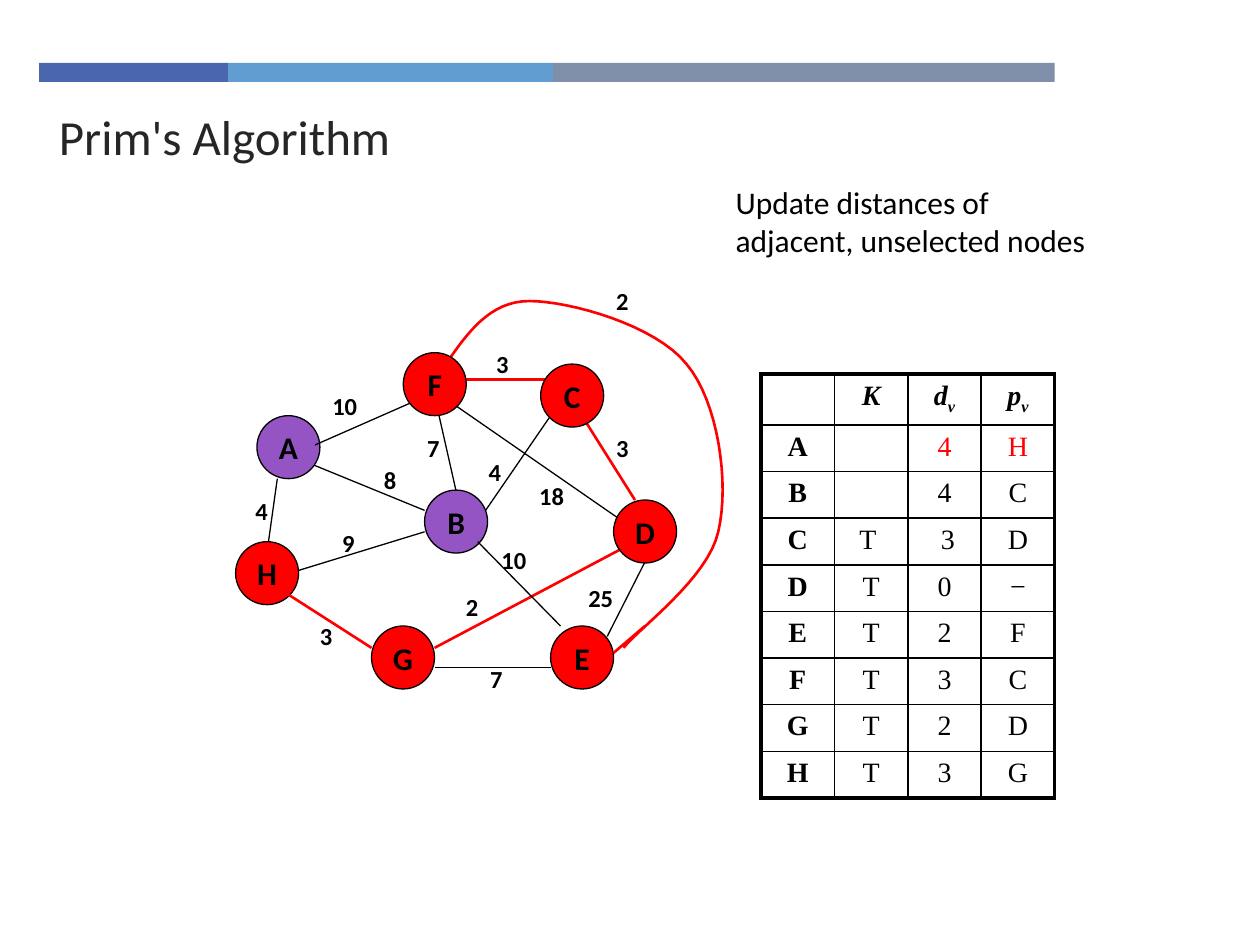
from lxml import etree
from pptx import Presentation
from pptx.dml.color import RGBColor
from pptx.enum.shapes import MSO_CONNECTOR, MSO_SHAPE
from pptx.enum.text import MSO_ANCHOR, PP_ALIGN
from pptx.oxml.ns import qn
from pptx.util import Cm, Pt

RECT, OVAL = MSO_SHAPE.RECTANGLE, MSO_SHAPE.OVAL
LINE = MSO_CONNECTOR.STRAIGHT
LEFT, CENTER = PP_ALIGN.LEFT, PP_ALIGN.CENTER
TOP, MIDDLE = MSO_ANCHOR.TOP, MSO_ANCHOR.MIDDLE

THEME = {
    "sans": "Calibri", "serif": "Times New Roman",
    "ink": "000000", "title": "262626", "tree": "FF0000", "open": "9454C3",
    "title_pt": 28, "text_pt": 18, "cell_pt": 16, "label_pt": 14,
    "thin": 0.75, "bold": 1.5, "grid": 1, "frame": 2.25,
}

# Content, all lengths in centimetres
TITLE = ("Prim's Algorithm", (0.94, 2.03, 18.19, 1.37))
NOTE = ("Update distances of adjacent, unselected nodes",
        (14.58, 3.56, 8.05, 1.96))
BARS = [(3.81, "4A66AC"), (6.55, "629DD1"), (10.11, "7F8FA9")]

NODE = 1.27
NODES = {  # left, top
    "A": (5.18, 8.38), "H": (4.75, 10.92), "B": (8.56, 9.88),
    "F": (8.13, 7.11), "E": (11.10, 12.62), "D": (12.37, 10.08),
    "C": (10.90, 7.34), "G": (7.49, 12.62),
}
OPEN = "AB"

# from, to, in tree, weight, label corner
UNDER = [
    ((13.31, 10.72), (12.24, 12.83), False, "25", (11.61, 11.63)),
    ((8.76, 7.98), (9.19, 9.88), False, "7", (8.36, 8.61)),
    ((9.63, 10.52), (11.10, 8.38), False, "4", (9.60, 9.09)),
    ((12.57, 10.52), (9.19, 8.18), False, "18", (10.62, 9.58)),
    ((5.82, 11.56), (8.56, 10.72), False, "9", (6.65, 10.52)),
    ((8.76, 13.06), (12.80, 10.92), True, "2", (9.14, 11.81)),
    ((5.38, 11.15), (5.59, 9.65), False, "4", (4.90, 9.88)),
    ((6.02, 9.25), (8.56, 10.29), False, "8", (7.49, 9.25)),
    ((9.32, 7.65), (11.30, 7.65), True, "3", (9.75, 6.91)),
    ((11.73, 8.38), (12.80, 10.08), True, "3", (12.17, 8.61)),
]
OVER = [
    ((9.63, 10.92), (11.30, 12.62), False, "10", (9.86, 10.87)),
    ((11.10, 13.46), (8.76, 13.46), False, "7", (9.63, 13.26)),
    ((7.49, 13.06), (5.82, 11.99), True, "3", (6.20, 12.40)),
    ((6.35, 8.97), (8.26, 8.13), False, "10", (6.45, 7.75)),
    ((13.00, 12.62), (12.37, 13.16), True, "2", (12.17, 5.64)),
]
START = (8.99, 7.34)
BENDS = [
    ((9.42, 6.71), (9.88, 6.07), (10.67, 6.07)),
    ((11.48, 6.07), (13.21, 6.55), (13.84, 7.34)),
    ((14.48, 8.10), (14.71, 9.75), (14.48, 10.72)),
    ((14.27, 11.66), (12.90, 12.65), (12.57, 13.06)),
]
STEPS = 16

HEAD = ["", "K", "dv", "pv"]  # a second letter is a subscript
ROWS = [
    ["A", "", "4", "H"], ["B", "", "4", "C"], ["C", "T ", " 3", "D"],
    ["D", "T", "0", "−"], ["E", "T", "2", "F"], ["F", "T", "3", "C"],
    ["G", "T", "2", "D"], ["H", "T", "3", "G"],
]
FRESH = {(1, 2), (1, 3)}  # cells just updated
GRID = (15.34, 7.54)
COL, TALL, ROW = 1.48, 1.02, 0.94


def rgb(name):
    return RGBColor.from_string(THEME.get(name, name))


def style(run, size, color="ink", bold=False, face="sans"):
    font = run.font
    font.name, font.size, font.bold = THEME[face], Pt(THEME[size]), bold
    font.color.rgb = rgb(color)


def write(shape, text, size, color="ink", bold=False, wrap=True,
          align=LEFT, anchor=TOP):
    frame = shape.text_frame
    frame.text, frame.word_wrap = text, wrap
    frame.vertical_anchor = anchor
    para = frame.paragraphs[0]
    para.alignment = align
    style(para.runs[0], size, color, bold)


def add_text(slide, text, box, size, **look):
    write(slide.shapes.add_textbox(*map(Cm, box)), text, size, **look)


def add_form(slide, kind, box, fill):
    form = slide.shapes.add_shape(kind, *map(Cm, box))
    form.shadow.inherit = False
    form.fill.solid()
    form.fill.fore_color.rgb = rgb(fill)
    form.line.fill.background()
    return form


def set_line(form, tree):
    form.line.color.rgb = rgb("tree" if tree else "ink")
    form.line.width = Pt(THEME["bold" if tree else "thin"])


def add_edge(slide, start, end, tree):
    edge = slide.shapes.add_connector(LINE, *map(Cm, start + end))
    set_line(edge, tree)
    etree.SubElement(edge._element.spPr, qn("a:effectLst"))


def add_curve(slide):
    points, last = [], START
    for bend in BENDS:
        knots = (last,) + bend
        for step in range(1, STEPS + 1):
            t = step / STEPS
            parts = ((1 - t)**3, 3 * t * (1 - t)**2, 3 * t**2 * (1 - t), t**3)
            points.append(tuple(
                Cm(sum(w * k[axis] for w, k in zip(parts, knots)))
                for axis in (0, 1)))
        last = bend[-1]
    pen = slide.shapes.build_freeform(*map(Cm, START))
    pen.add_line_segments(points, close=False)
    curve = pen.convert_to_shape()
    curve.shadow.inherit = False
    curve.fill.background()
    set_line(curve, True)


def set_edges(cell, sides):
    props = cell._tc.get_or_add_tcPr()
    for spot, (tag, outer) in enumerate(sides):
        width = Pt(THEME["frame" if outer else "grid"])
        line = etree.Element(qn("a:" + tag), w=str(width))
        fill = etree.SubElement(line, qn("a:solidFill"))
        etree.SubElement(fill, qn("a:srgbClr"), val=THEME["ink"])
        props.insert(spot, line)


def add_grid(slide):
    data = [HEAD] + ROWS
    rows, cols = len(data), len(HEAD)
    size = (COL * cols, TALL + ROW * len(ROWS))
    table = slide.shapes.add_table(rows, cols, *map(Cm, GRID + size)).table
    table.first_row = table.horz_banding = False
    for col in table.columns:
        col.width = Cm(COL)
    for r, texts in enumerate(data):
        table.rows[r].height = Cm(ROW if r else TALL)
        for c, text in enumerate(texts):
            cell = table.cell(r, c)
            cell.fill.background()
            set_edges(cell, [("lnL", c == 0), ("lnR", c == cols - 1),
                             ("lnT", r == 0), ("lnB", r == rows - 1)])
            para = cell.text_frame.paragraphs[0]
            para.alignment = CENTER
            if not text:  # keeps an empty row at its height
                etree.SubElement(para._p, qn("a:endParaRPr"),
                                 sz=str(THEME["cell_pt"] * 100))
                continue
            para.text = text if r else text[0]
            if not r and text[1:]:
                sub = para.add_run()
                sub.text = text[1:]
                sub._r.get_or_add_rPr().set("baseline", "-25000")
            color = "tree" if (r, c) in FRESH else "ink"
            for run in para.runs:
                style(run, "cell_pt", color, r == 0 or c == 0, "serif")
                run.font.italic = r == 0


def main():
    deck = Presentation()
    deck.slide_width, deck.slide_height = Cm(25.4), Cm(19.05)
    slide = deck.slides.add_slide(deck.slide_layouts[6])

    # Top bars
    left = 0.79
    for width, color in BARS:
        add_form(slide, RECT, (left, 1.27, width, 0.38), color)
        left += width

    # Graph: lower edges, nodes, upper edges, weights
    add_curve(slide)
    for start, end, tree, *_ in UNDER:
        add_edge(slide, start, end, tree)
    for name, spot in NODES.items():
        fill = "open" if name in OPEN else "tree"
        node = add_form(slide, OVAL, spot + (NODE, NODE), fill)
        set_line(node, False)
        write(node, name, "text_pt", bold=True, wrap=False,
              align=CENTER, anchor=MIDDLE)
    for start, end, tree, *_ in OVER:
        add_edge(slide, start, end, tree)
    for *_, text, spot in UNDER + OVER:
        width = 0.84 if len(text) == 1 else 1.32
        add_text(slide, text, spot + (width, 0.84), "label_pt", bold=True)

    # Words and table
    add_text(slide, *NOTE, "text_pt")
    add_grid(slide)
    add_text(slide, *TITLE, "title_pt", color="title")
    deck.save("out.pptx")


if __name__ == "__main__":
    main()
